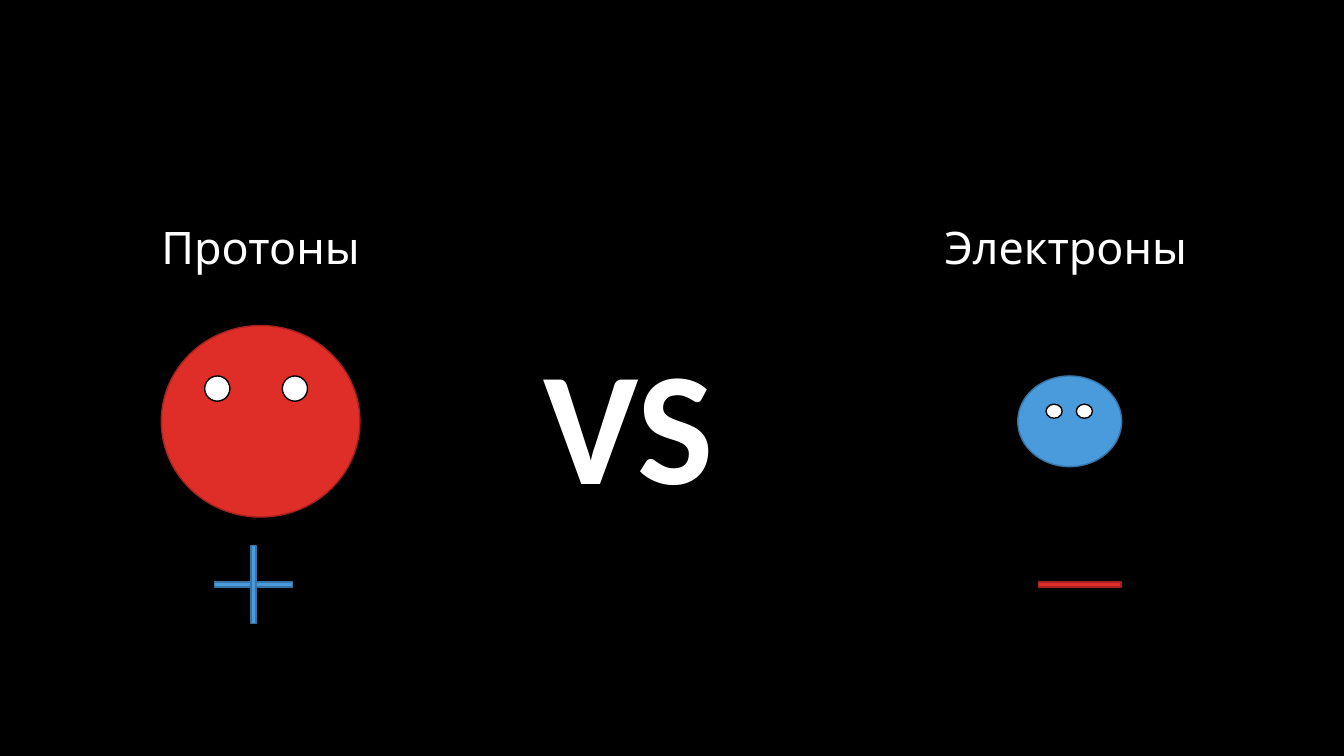
import dataclasses

import pptx
import pptx.dml.color
import pptx.enum.shapes
import pptx.enum.text
import pptx.util

PX = 9144  # 100 px to the inch
SHAPES = pptx.enum.shapes.MSO_SHAPE


@dataclasses.dataclass(frozen=True)
class Theme:
    background: str = "000000"
    text: str = "FFFFFF"
    eye: tuple = ("FFFFFF", "000000")
    red: tuple = ("DF2E28", "A5221E")
    blue: tuple = ("4A9BDC", "3773A3")
    versus_format: tuple = (("name", "Calibri"), ("size", pptx.util.Pt(115)), ("bold", True))
    label_format: tuple = (("name", "Quicksand"), ("size", pptx.util.Pt(32)), ("bold", False))
    outline: int = pptx.util.Pt(1)


@dataclasses.dataclass(frozen=True)
class Particle:
    name: str
    body: tuple
    eye: tuple
    eye_lefts: tuple
    eye_top: int
    sign_left: int
    sign_length: int
    positive: bool
    body_colors: tuple
    sign_colors: tuple


THEME = Theme()
PROTON = Particle("Протоны", (197, 190), (25, 25), (43, 120), 50,
                  63, 77, True, THEME.red, THEME.blue)
ELECTRON = Particle("Электроны", (103, 90), (16, 14), (28, 58), 28,
                    103, 82, False, THEME.blue, THEME.red)
BODY_CENTER, SIGN_CENTER, SIGN_WIDTH = 205, 367, 5


def rgb(color):
    return pptx.dml.color.RGBColor.from_string(color)


def write(placeholder, box, text, font_format):
    """Move a placeholder into the box and set its left-aligned text."""
    for name, length in zip(("left", "top", "width", "height"), box):
        setattr(placeholder, name, length * PX)
    frame = placeholder.text_frame
    frame.text = text
    frame_format = {"auto_size": pptx.enum.text.MSO_AUTO_SIZE.NONE, "word_wrap": False,
                    "vertical_anchor": pptx.enum.text.MSO_ANCHOR.TOP}
    for name, value in frame_format.items():
        setattr(frame, name, value)
    para = frame.paragraphs[0]
    para.alignment = pptx.enum.text.PP_ALIGN.LEFT
    para.space_before = pptx.util.Pt(0)
    font = para.runs[0].font
    for name, value in font_format:
        setattr(font, name, value)
    font.color.rgb = rgb(THEME.text)


def add_filled(page, kind, box, colors):
    shape = page.shapes.add_shape(kind, *(round(length * PX) for length in box))
    shape.shadow.inherit = False
    fill, line = colors
    shape.fill.solid()
    shape.fill.fore_color.rgb = rgb(fill)
    shape.line.color.rgb = rgb(line)
    shape.line.width = THEME.outline


def add_sign(page, left, center, particle):
    length, width = particle.sign_length, SIGN_WIDTH
    bars = [(left, center - width / 2, length, width)]
    if particle.positive:
        middle = left + length / 2
        bars.append((middle - width / 2, center - length / 2, width, length))
    for bar in bars:
        add_filled(page, SHAPES.RECTANGLE, bar, particle.sign_colors)


def add_particle(page, label, box, particle):
    """Label, body with eyes, and charge sign, stacked in the box."""
    left, top, width, _ = box
    write(label, (left, top, width, 64), particle.name, THEME.label_format)

    body_width, body_height = particle.body
    body_left = left + (width - body_width) / 2
    body_top = top + BODY_CENTER - body_height / 2
    add_filled(page, SHAPES.OVAL, (body_left, body_top, *particle.body),
               particle.body_colors)
    for eye_left in particle.eye_lefts:
        eye_box = (body_left + eye_left, body_top + particle.eye_top, *particle.eye)
        add_filled(page, SHAPES.OVAL, eye_box, THEME.eye)

    add_sign(page, left + particle.sign_left, top + SIGN_CENTER, particle)


def add_comparison(deck):
    page = deck.slides.add_slide(deck.slide_layouts.get_by_name("Comparison"))
    page.background.fill.solid()
    page.background.fill.fore_color.rgb = rgb(THEME.background)

    title, left_label, left_body, right_label, right_body = list(page.placeholders)[:5]
    for unused in (left_body, right_body):
        unused.element.getparent().remove(unused.element)

    write(title, (529, 316, 246, 204), "VS", THEME.versus_format)
    add_particle(page, left_label, (150, 213, 217, 410), PROTON)
    add_particle(page, right_label, (927, 213, 268, 410), ELECTRON)


def main():
    deck = pptx.Presentation()
    deck.slide_width, deck.slide_height = 1333 * PX, 750 * PX
    add_comparison(deck)
    deck.save("out.pptx")


if __name__ == "__main__":
    main()
